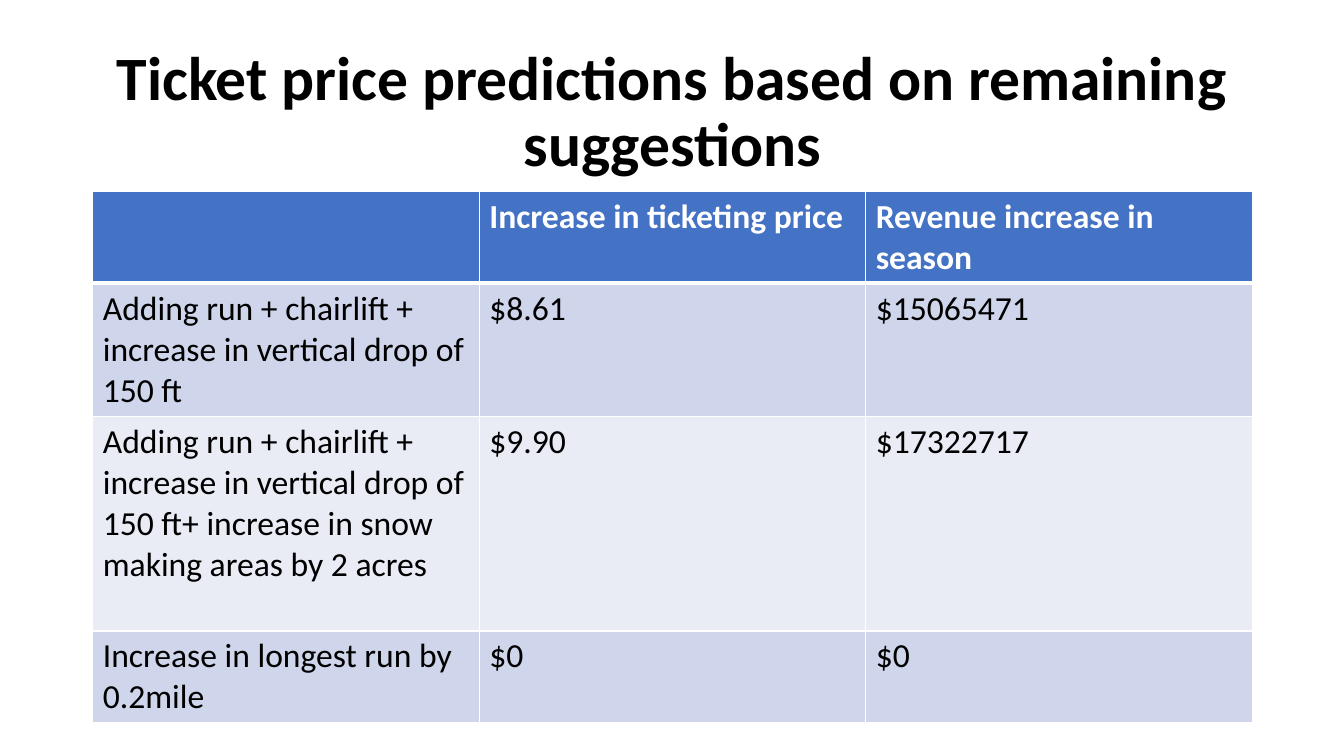
from lxml import etree
from pptx import Presentation
from pptx.dml.color import RGBColor
from pptx.enum.text import MSO_ANCHOR, PP_ALIGN
from pptx.oxml.ns import qn
from pptx.util import Inches, Pt

CENTER, LEFT = PP_ALIGN.CENTER, PP_ALIGN.LEFT
MIDDLE = MSO_ANCHOR.MIDDLE

TITLE = "Ticket price predictions based on remaining suggestions"
ROWS = [
    ("", "Increase in ticketing price", "Revenue increase in season"),
    ("Adding run + chairlift + increase in vertical drop of 150 ft",
     "$8.61", "$15065471"),
    ("Adding run + chairlift + increase in vertical drop of 150 ft"
     "+ increase in snow making areas by 2 acres", "$9.90", "$17322717"),
    ("Increase in longest run by 0.2mile", "$0", "$0"),
]
ROW_HEIGHTS = [0.91, 1.32, 2.13, 0.91]
HEADER_FILL, BAND_FILLS = "4472C4", ("E9EBF5", "CFD5EA")
LEFT_EDGE, WIDTH, TABLE_TOP = 0.92, 11.5, 1.9


def color(value):
    return RGBColor.from_string(value)


def write(tf, text, size=24, fill="000000", bold=False, align=LEFT, spacing=1.0):
    tf.word_wrap = True
    p = tf.paragraphs[0]
    p.alignment = align
    p.line_spacing = spacing
    if not text:
        p.font.size = Pt(size)
        return
    r = p.add_run()
    r.text = text
    r.font.name = "Calibri"
    r.font.size = Pt(size)
    r.font.bold = bold
    r.font.color.rgb = color(fill)


def set_borders(cell, bottom):
    tcPr = cell._tc.get_or_add_tcPr()
    widths = {"a:lnL": 1, "a:lnR": 1, "a:lnT": 1, "a:lnB": bottom}
    for i, (tag, width) in enumerate(widths.items()):
        ln = etree.Element(qn(tag), w=str(Pt(width)))
        fill = etree.SubElement(ln, qn("a:solidFill"))
        etree.SubElement(fill, qn("a:srgbClr"), val="FFFFFF")
        tcPr.insert(i, ln)


prs = Presentation()
prs.slide_width, prs.slide_height = Inches(13.33), Inches(7.5)
s = prs.slides.add_slide(prs.slide_layouts[6])

sp = s.shapes.add_textbox(Inches(LEFT_EDGE), Inches(0.4), Inches(WIDTH), Inches(1.45))
sp.text_frame.vertical_anchor = MIDDLE
write(sp.text_frame, TITLE, size=44, bold=True, align=CENTER, spacing=0.9)

table = s.shapes.add_table(
    len(ROWS), len(ROWS[0]), Inches(LEFT_EDGE), Inches(TABLE_TOP),
    Inches(WIDTH), Inches(sum(ROW_HEIGHTS))).table
for i, (texts, height) in enumerate(zip(ROWS, ROW_HEIGHTS)):
    table.rows[i].height = Inches(height)
    header = i == 0
    for j, text in enumerate(texts):
        cell = table.cell(i, j)
        cell.fill.solid()
        cell.fill.fore_color.rgb = color(HEADER_FILL if header else BAND_FILLS[i % 2])
        set_borders(cell, bottom=3 if header else 1)
        write(cell.text_frame, text, bold=header, fill="FFFFFF" if header else "000000")

prs.save("out.pptx")
